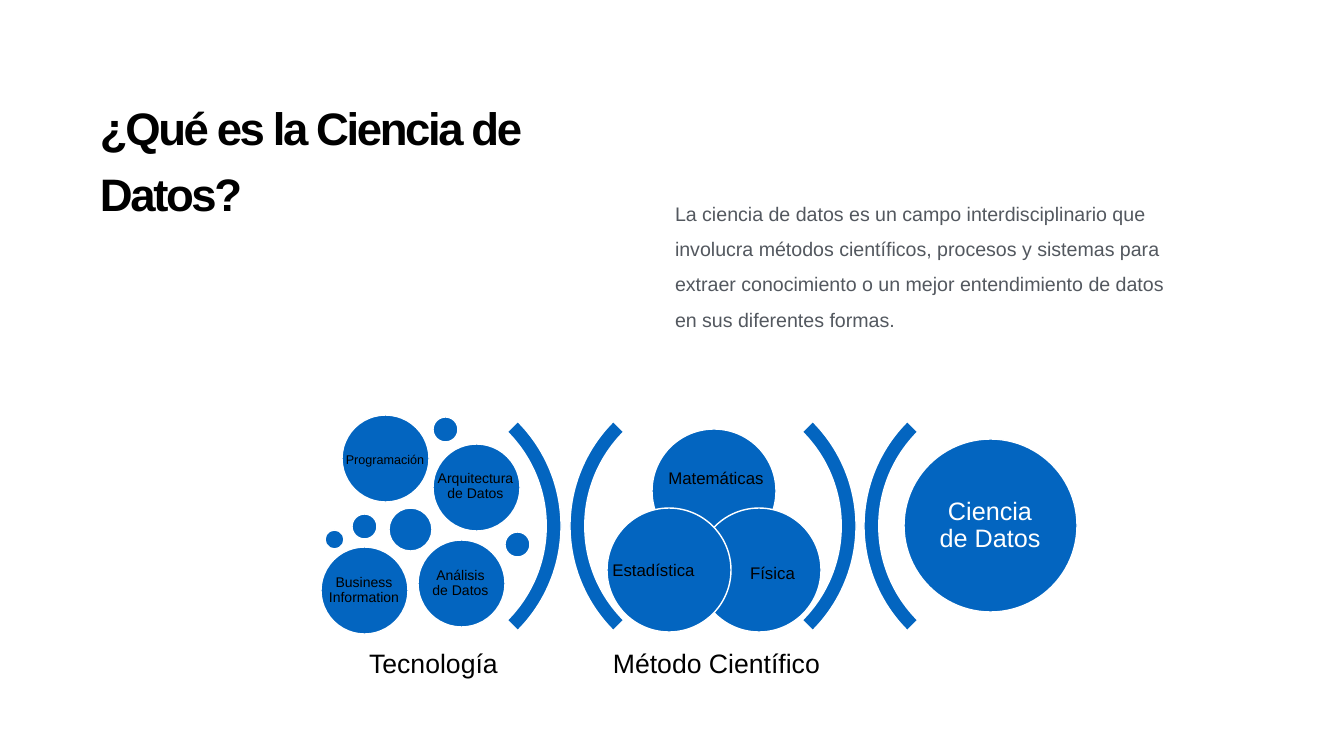
from pptx import Presentation
from pptx import util as u
from pptx.dml.color import RGBColor
from pptx.enum import shapes, text
from pptx.oxml import parse_xml
from pptx.oxml.ns import nsdecls

BLUE = RGBColor(0x03, 0x65, 0xC0)
WHITE = RGBColor(0xFF, 0xFF, 0xFF)
BLACK = RGBColor(0x00, 0x00, 0x00)
GREY = RGBColor(0x53, 0x58, 0x5F)
FONT = "Arial"
SCALE = 914400 / 50.4
KIND = shapes.MSO_SHAPE
ARC = 296


def px(*vals):
    return [u.Emu(round(v * SCALE)) for v in vals]


def place(item, box):
    item.left, item.top, item.width, item.height = px(*box)


def write(frame, words, size, color, align, anchor, gap, space):
    frame.text = words
    frame.word_wrap = True
    frame.auto_size = text.MSO_AUTO_SIZE.NONE
    frame.vertical_anchor = anchor
    inset = px(gap)[0]
    frame.margin_left = frame.margin_right = inset
    frame.margin_top = frame.margin_bottom = inset
    para = frame.paragraphs[0]
    para.alignment = align
    para.line_spacing = space
    para.space_before = para.space_after = u.Pt(0)
    font = para.runs[0].font
    font.name, font.size, font.color.rgb = FONT, u.Pt(size), color
    return para


def label(slide, box, words, size, color=BLACK, gap=0):
    item = slide.shapes.add_textbox(*px(*box))
    write(item.text_frame, words, size, color, text.PP_ALIGN.CENTER,
          text.MSO_ANCHOR.MIDDLE, gap, 0.9)


def solid(slide, kind, left, top, size):
    item = slide.shapes.add_shape(kind, *px(left, top, size, size))
    item.shadow.inherit = False
    item.fill.solid()
    item.fill.fore_color.rgb = BLUE
    item.line.color.rgb = WHITE
    item.line.width = u.Pt(2)
    return item


def disc(slide, left, top, size):
    solid(slide, KIND.OVAL, left, top, size)


def arc(slide, left, top, turn):
    item = solid(slide, KIND.BLOCK_ARC, left, top, ARC)
    for i, val in enumerate((135, 189, 0.05)):
        item.adjustments[i] = val
    item.rotation = turn


def header(slide, box):
    item = slide.shapes.title
    place(item, box)
    para = write(item.text_frame, "¿Qué es la Ciencia de Datos?", 112, BLACK,
                 text.PP_ALIGN.LEFT, text.MSO_ANCHOR.TOP, 3, 0.7)
    font = para.runs[0].font
    font.bold = True
    props = para.runs[0]._r.get_or_add_rPr()
    props.set("baseline", "9000")
    props.set("spc", "-340")


def summary(slide, box):
    item = slide.placeholders[1]
    place(item, box)
    words = ("La ciencia de datos es un campo interdisciplinario que involucra "
             "métodos científicos, procesos y sistemas para extraer conocimiento "
             "o un mejor entendimiento de datos en sus diferentes formas.")
    para = write(item.text_frame, words, 28, GREY, text.PP_ALIGN.LEFT,
                 text.MSO_ANCHOR.TOP, 3, 1.5)
    props = para._p.get_or_add_pPr()
    props.set("marL", "0")
    props.set("indent", "0")
    props.append(parse_xml("<a:buNone %s/>" % nsdecls("a")))


def tech(slide, x, y):
    arc(slide, x, y, 90)
    topics = [
        (77, 37, (71, 52, 98), "Programación", 18),
        (168, 66, (170, 78, 81), "Arquitectura de Datos", 20),
        (56, 169, (60, 182, 78), "Business Information", 20),
        (153, 162, (165, 175, 61), "Análisis de Datos", 20),
    ]
    for dx, dy, (tx, ty, wide), words, size in topics:
        disc(slide, x + dx, y + dy, 87)
        label(slide, (x + tx, y + ty, wide, 61), words, size, gap=2)
    dots = [(87, 136, 25), (168, 39, 25), (240, 154, 25),
            (124, 130, 43), (60, 152, 19)]
    for dx, dy, size in dots:
        disc(slide, x + dx, y + dy, size)
    label(slide, (x + 56, y + 257, 225, 59), "Tecnología", 38, gap=8)


def method(slide, x, y):
    arc(slide, x + 10, y, 270)
    arc(slide, x, y, 90)
    fields = [
        (92, 51, (106, 73, 100, 56), "Matemáticas"),
        (137, 130, (175, 162, 75, 69), "Física"),
        (47, 130, (48, 159, 91, 69), "Estadística"),
    ]
    for dx, dy, (tx, ty, wide, high), words in fields:
        disc(slide, x + dx, y + dy, 124)
        label(slide, (x + tx, y + ty, wide, high), words, 24)
    label(slide, (x + 44, y + 257, 225, 59), "Método Científico", 38, gap=8)


def result(slide, x, y):
    arc(slide, x, y, 270)
    disc(slide, x + 40, y + 61, 173)
    label(slide, (x + 65, y + 87, 122, 122), "Ciencia de Datos", 36, WHITE, 8)


def main():
    deck = Presentation()
    deck.slide_width, deck.slide_height = px(1344, 756)
    slide = deck.slides.add_slide(deck.slide_layouts[1])
    header(slide, (97, 97, 504, 238))
    summary(slide, (672, 187, 504, 159))
    tech(slide, 265, 378)
    method(slide, 560, 378)
    result(slide, 864, 378)
    deck.save("out.pptx")


main()
